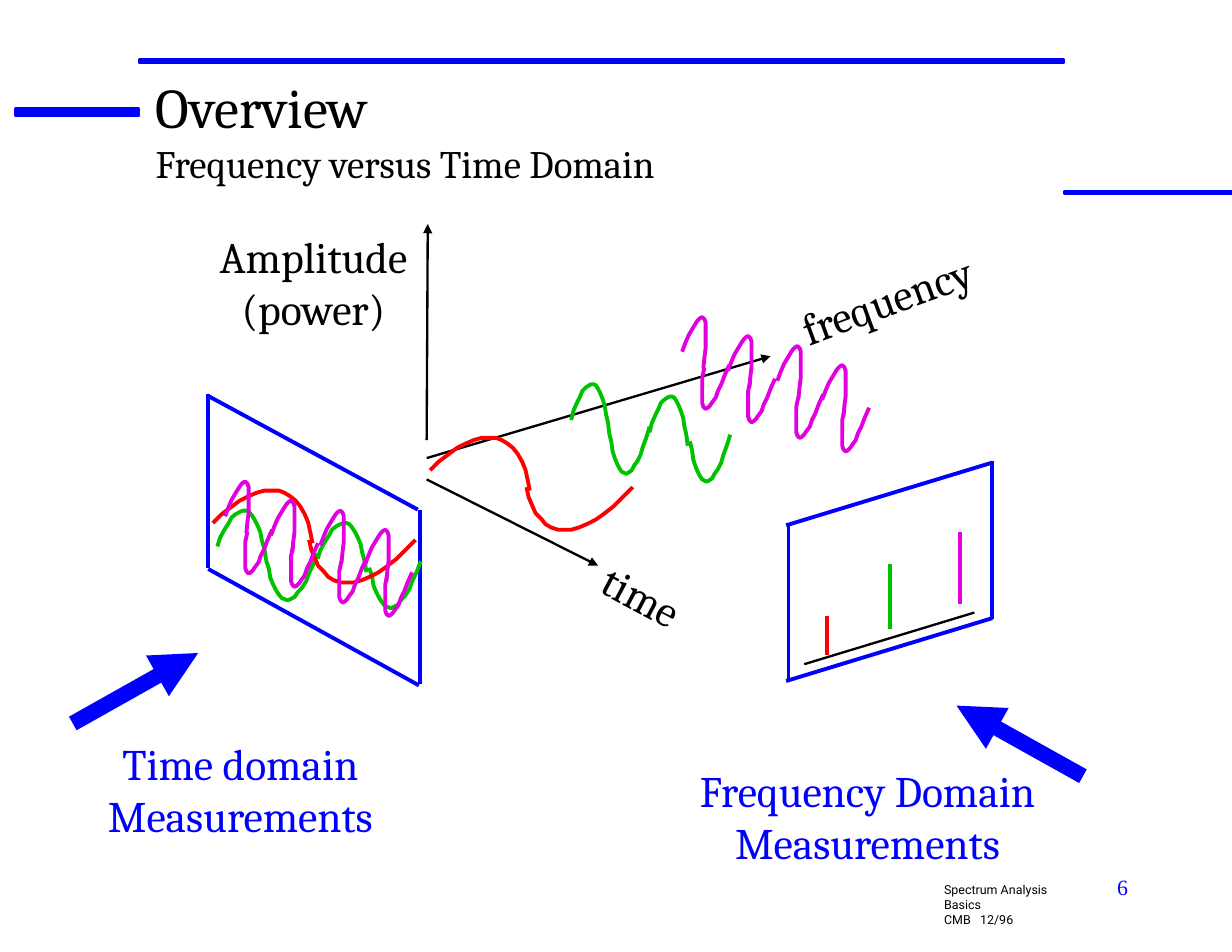
from lxml.etree import SubElement
from pptx import Presentation
from pptx.dml.color import RGBColor
from pptx.enum.shapes import MSO_CONNECTOR, MSO_SHAPE
from pptx.enum.text import MSO_ANCHOR, MSO_AUTO_SIZE, PP_ALIGN
from pptx.oxml.ns import qn
from pptx.util import Pt

BLACK, BLUE, RED = "000000", "0000FF", "FF0000"
GREEN, PINK = "00C200", "E000E0"
LEFT, MID, RIGHT = PP_ALIGN.LEFT, PP_ALIGN.CENTER, PP_ALIGN.RIGHT


def tint(fill, code):
    fill.solid()
    fill.fore_color.rgb = RGBColor.from_string(code)


def write(shape, box, rows, face, code, align, inset):
    for name, size in zip(("left", "top", "width", "height"), box):
        setattr(shape, name, Pt(size))
    frame = shape.text_frame
    style = {"word_wrap": True, "auto_size": MSO_AUTO_SIZE.NONE,
             "vertical_anchor": MSO_ANCHOR.TOP}
    if inset == 0:
        style.update({f"margin_{side}": 0 for side in ("left", "top", "right", "bottom")})
    for name, value in style.items():
        setattr(frame, name, value)
    for row, (text, size) in enumerate(rows):
        para = frame.add_paragraph() if row else frame.paragraphs[0]
        para.alignment = align
        para.space_before = Pt(0)
        run = para.add_run()
        run.text = text
        for name, value in {"name": face, "size": Pt(size), "bold": False}.items():
            setattr(run.font, name, value)
        tint(run.font.fill, code)


deck = Presentation()
deck.slide_width, deck.slide_height = Pt(792), Pt(612)
slide = deck.slides.add_slide(deck.slide_layouts[5])
shapes = slide.shapes

for box in [(10.1, 69.8, 79.2, 5), (89.3, 38.2, 594.7, 2.2), (684, 123.1, 108, 1.4)]:
    bar = shapes.add_shape(MSO_SHAPE.ROUNDED_RECTANGLE, *map(Pt, box))
    bar.adjustments[0] = 0
    bar.shadow.inherit = False
    tint(bar.fill, BLUE)
    tint(bar.line.fill, BLUE)
    bar.line.width = Pt(1.5)

write(shapes.title, (100.1, 46.8, 467.3, 72),
      [("Overview", 36), ("Frequency versus Time Domain", 25)],
      "Cambria", BLACK, LEFT, 0)

labels = [
    ((386.6, 371.5, 74.2, 28.8), ["time"], BLACK, LEFT, 28),
    ((131, 147.6, 141.1, 61.2), ["Amplitude", "(power)"], BLACK, MID, 0),
    ((511.2, 169.9, 148.3, 28.8), ["frequency"], BLACK, LEFT, 340),
    ((56.2, 473.8, 196.6, 60.5), ["Time domain", "Measurements"], BLUE, MID, 0),
    ((424.8, 491, 265.7, 67), ["Frequency Domain", "Measurements"], BLUE, MID, 0),
]
for box, words, code, align, turn in labels:
    label = shapes.add_textbox(0, 0, 0, 0)
    write(label, box, [(word, 28) for word in words], "Cambria", code, align, 0)
    label.rotation = turn

write(shapes.add_textbox(0, 0, 0, 0), (599.8, 563.8, 97.9, 26.6),
      [("Spectrum Analysis Basics", 8), ("CMB\u00a0\u00a0 12/96".replace("\u00a0", " "), 8)],
      "Roboto", BLACK, LEFT, 1)
write(shapes.add_textbox(0, 0, 0, 0), (570.2, 558, 162, 41.8),
      [("6", 14)], "Times New Roman", BLUE, RIGHT, 1)

lines = [
    (274.3, 283, 275, 144, BLACK, 1.5, True),
    (274.3, 294.5, 495.4, 229, BLACK, 1.5, True),
    (274.3, 308.2, 384.5, 363.6, BLACK, 1.5, True),
    (531.4, 396, 531.4, 421.2, RED, 2.5, False),
    (572.4, 362.9, 572.4, 404.6, GREEN, 2.5, False),
    (617, 342, 617, 388.1, PINK, 2.5, False),
    (46.8, 465.1, 127.4, 419.8, BLUE, 10, True),
    (696.2, 499, 614.9, 453.6, BLUE, 10, True),
    (133.9, 253.4, 133.9, 365, BLUE, 2.5, False),
    (270, 327.6, 270, 439.9, BLUE, 2.5, False),
    (133.2, 254.2, 268.6, 327.6, BLUE, 2.5, False),
    (133.9, 365.8, 269.3, 440.6, BLUE, 2.5, False),
    (637.9, 296.6, 637.9, 398.2, BLUE, 2.5, False),
    (506.9, 337, 506.9, 437.8, BLUE, 2.5, False),
    (637.9, 297.4, 505.4, 337.7, BLUE, 2.5, False),
    (637.9, 397.4, 505.4, 437.8, BLUE, 2.5, False),
    (626.4, 393.8, 517, 427, BLACK, 1.5, False),
]
for *ends, code, width, arrow in lines:
    line = shapes.add_connector(MSO_CONNECTOR.STRAIGHT, *map(Pt, ends))
    tint(line.line.fill, code)
    line.line.width = Pt(width)
    if arrow:
        SubElement(line.line._get_or_add_ln(), qn("a:tailEnd"), type="triangle")
    SubElement(line._element.spPr, qn("a:effectLst"))

curves = {
    PINK: (
        [(19, 46), (20, 36), (21, 28), (21, 20), (21, 14), (21, 9), (21, 5), (20, 2), (19, 1),
         (18, 0), (16, 1), (14, 3), (12, 6), (9, 11), (6, 16), (3, 23), (0, 31)],
        [(24, 0), (20, 9), (17, 17), (14, 23), (12, 29), (9, 33), (7, 36), (5, 38), (3, 39),
         (2, 38), (1, 37), (0, 34), (0, 30), (0, 25), (0, 18), (0, 11), (2, 2)]),
    RED: (
        [(89, 47), (87, 37), (85, 28), (82, 21), (78, 14), (74, 9), (69, 5), (64, 2), (59, 0),
         (52, 0), (46, 0), (39, 2), (32, 5), (24, 9), (16, 15), (8, 21), (0, 29)],
        [(95, 0), (86, 9), (78, 17), (69, 24), (62, 29), (54, 33), (47, 36), (40, 38), (34, 38),
         (28, 38), (22, 36), (17, 33), (13, 28), (8, 23), (5, 16), (2, 9), (0, 0)]),
    GREEN: (
        [(34, 44), (33, 35), (31, 26), (30, 19), (28, 13), (26, 8), (24, 4), (22, 1), (20, 0),
         (18, 0), (16, 1), (13, 3), (10, 6), (8, 11), (5, 17), (2, 24), (0, 32)],
        [(36, 0), (33, 10), (30, 18), (28, 25), (25, 31), (22, 35), (20, 39), (17, 41), (15, 42),
         (13, 41), (11, 40), (9, 37), (7, 33), (5, 28), (3, 22), (2, 14), (0, 6)]),
}
crests = {PINK: [(0, 0), (41, 17), (85, 26), (125, 43)], RED: [(0, 0)], GREEN: [(0, 0), (70, 11)]}
dips = {PINK: [(18, 43), (59, 55), (102, 69), (143, 81)], RED: [(86, 44)],
        GREEN: [(34, 38), (106, 45)]}
waves = [
    (PINK, 438.5, 203.8, 1), (RED, 276.5, 281.5, 1), (GREEN, 367.2, 247, 1),
    (GREEN, 139.7, 328.3, 1.28), (RED, 136.8, 315.4, 1), (PINK, 144.7, 309.6, 1),
]
unit = 0.72
for code, left, top, wide in waves:
    for curve, spots in zip(curves[code], (crests[code], dips[code])):
        for x, y in spots:
            pen = shapes.build_freeform(*curve[0], scale=(Pt(unit * wide), Pt(unit)))
            pen.add_line_segments(curve[1:], close=False)
            wave = pen.convert_to_shape(Pt(left + x * unit * wide), Pt(top + y * unit))
            wave.shadow.inherit = False
            wave.fill.background()
            tint(wave.line.fill, code)
            wave.line.width = Pt(2.5)

deck.save("out.pptx")
